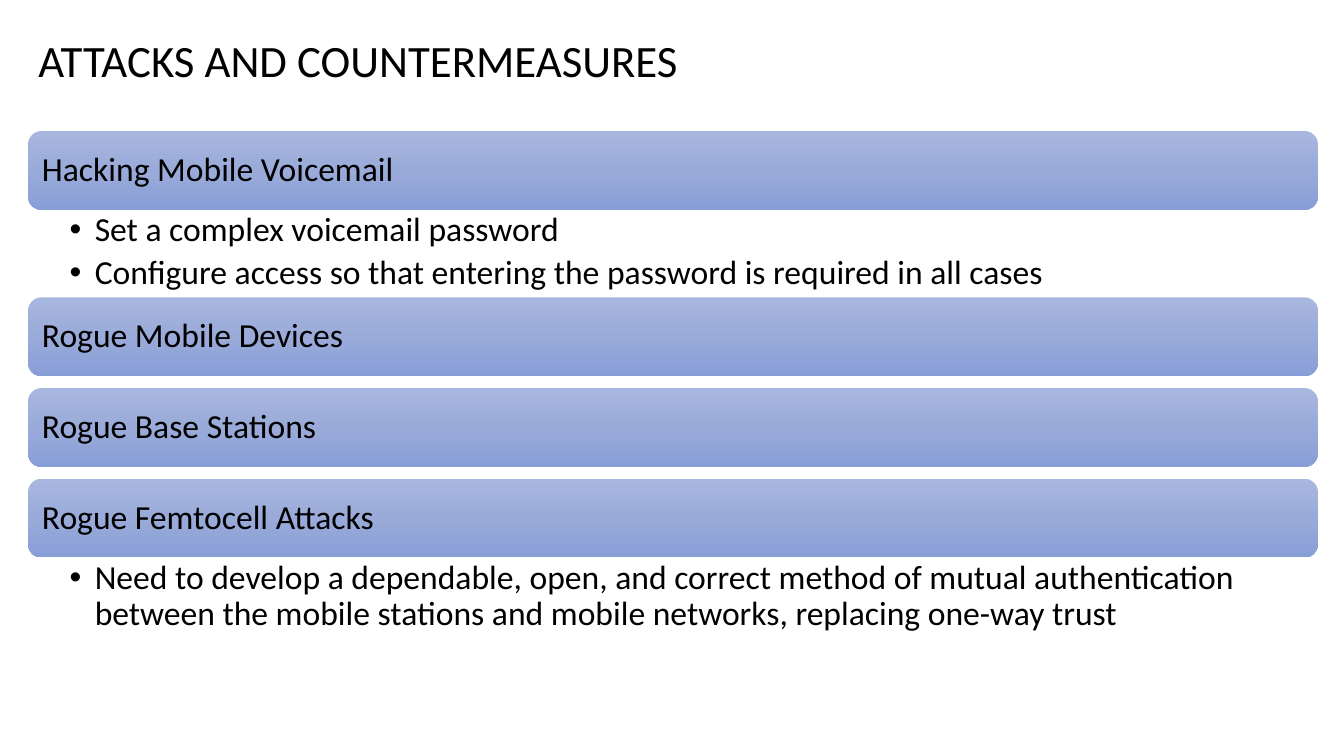
import copy

import pptx
import pptx.dml.color
import pptx.enum.shapes
import pptx.enum.text
import pptx.oxml.ns
import pptx.util

Inches = pptx.util.Inches
Pt = pptx.util.Pt
MIDDLE = pptx.enum.text.MSO_ANCHOR.MIDDLE
TOP = pptx.enum.text.MSO_ANCHOR.TOP

TITLE = "ATTACKS AND COUNTERMEASURES"
# attack, countermeasures, height of the countermeasure list
SECTIONS = [
    ("Hacking Mobile Voicemail",
     ["Set a complex voicemail password",
      "Configure access so that entering the password is required in all cases"], 0.87),
    ("Rogue Mobile Devices", [], 0),
    ("Rogue Base Stations", [], 0),
    ("Rogue Femtocell Attacks",
     ["Need to develop a dependable, open, and correct method of mutual authentication "
      "between the mobile stations and mobile networks, replacing one-way trust"], 0.82),
]
COLORS = {"text": "000000", "bar top": "A8B7DF", "bar middle": "9AABD9",
          "bar bottom": "889ED7"}
FONT = "Calibri"
LEFT, WIDTH = 0.28, 12.79
TITLE_HEIGHT = 1.25
FIRST_BAR_TOP, BAR_HEIGHT, BAR_GAP = 1.3, 0.78, 0.12


def rgb(name):
    return pptx.dml.color.RGBColor.from_string(COLORS[name])


def place(shape, top, height):
    shape.left, shape.width = Inches(LEFT), Inches(WIDTH)
    shape.top, shape.height = Inches(top), Inches(height)


def format_text(text_frame, size, anchor, margins, space_after=0, line_spacing=0.9):
    """Margins are left, top, right and bottom, in inches."""
    text_frame.word_wrap = True
    text_frame.auto_size = pptx.enum.text.MSO_AUTO_SIZE.NONE
    text_frame.vertical_anchor = anchor
    (text_frame.margin_left, text_frame.margin_top,
     text_frame.margin_right, text_frame.margin_bottom) = map(Inches, margins)
    for paragraph in text_frame.paragraphs:
        paragraph.alignment = pptx.enum.text.PP_ALIGN.LEFT
        paragraph.line_spacing = line_spacing
        paragraph.space_before = Pt(0)
        paragraph.space_after = Pt(space_after)
        for run in paragraph.runs:
            run.font.name = FONT
            run.font.size = Pt(size)
            run.font.color.rgb = rgb("text")


def fill_bar(bar):
    """Vertical gradient with three stops."""
    bar.fill.gradient()
    bar.fill.gradient_angle = 270
    stop_list = next(bar.element.iter(pptx.oxml.ns.qn("a:gsLst")))
    stop_list.insert(1, copy.deepcopy(stop_list[0]))
    names = ("bar top", "bar middle", "bar bottom")
    for stop, name, position in zip(bar.fill.gradient_stops, names, (0, 0.5, 1)):
        stop.color.rgb = rgb(name)
        stop.position = position


def add_bar(slide, attack, top):
    bar = slide.shapes.add_shape(
        pptx.enum.shapes.MSO_SHAPE.ROUNDED_RECTANGLE,
        Inches(LEFT), Inches(top), Inches(WIDTH), Inches(BAR_HEIGHT))
    bar.shadow.inherit = False
    bar.line.fill.background()
    fill_bar(bar)
    bar.text_frame.text = attack
    format_text(bar.text_frame, 24, MIDDLE, (0.1, 0.1, 0.1, 0.1))


def fill_list(placeholder, countermeasures, top, height):
    place(placeholder, top, height)
    placeholder.text_frame.text = "\n".join(countermeasures)
    for paragraph in placeholder.text_frame.paragraphs:
        properties = paragraph._p.get_or_add_pPr()
        properties.set("marL", str(Inches(0.25)))
        properties.set("indent", str(-Inches(0.25)))
    format_text(placeholder.text_frame, 24, TOP, (0.41, 0.03, 0.19, 0.03), space_after=4.8)


def main():
    presentation = pptx.Presentation()
    presentation.slide_width, presentation.slide_height = Inches(13.33), Inches(7.5)
    slide = presentation.slides.add_slide(presentation.slide_layouts.get_by_name("Two Content"))

    title, *list_placeholders = slide.placeholders
    place(title, 0, TITLE_HEIGHT)
    title.text_frame.text = TITLE
    format_text(title.text_frame, 32, MIDDLE, (0.1, 0.05, 0.1, 0.05))

    remaining_lists = iter(list_placeholders)
    top = FIRST_BAR_TOP
    for attack, countermeasures, list_height in SECTIONS:
        add_bar(slide, attack, top)
        top += BAR_HEIGHT
        if countermeasures:
            fill_list(next(remaining_lists), countermeasures, top, list_height)
            top += list_height
        else:
            top += BAR_GAP

    presentation.save("out.pptx")


if __name__ == "__main__":
    main()
